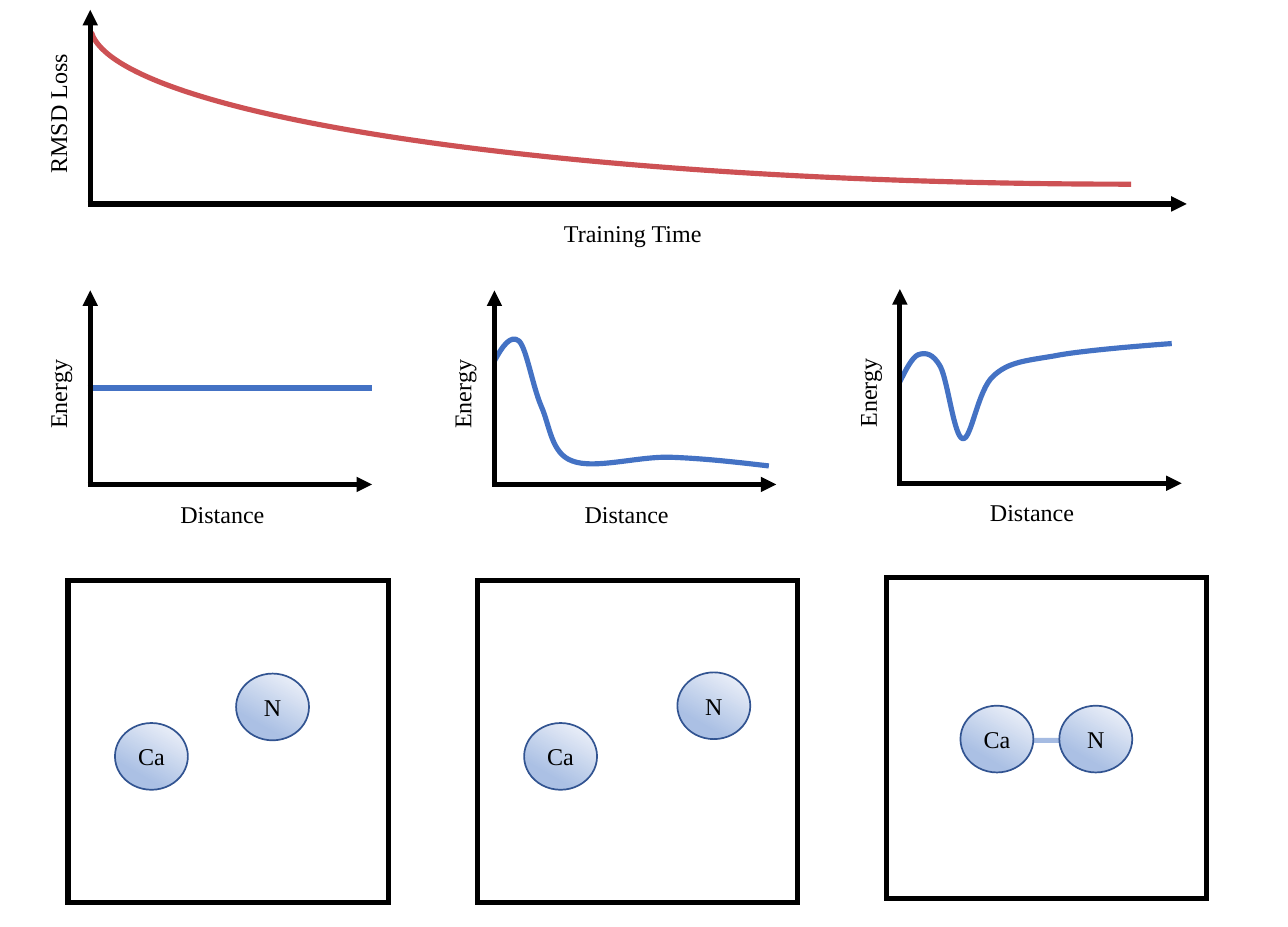
from lxml import etree
from pptx import Presentation
from pptx.dml.color import RGBColor
from pptx.enum.shapes import MSO_CONNECTOR, MSO_SHAPE
from pptx.enum.text import MSO_ANCHOR, PP_ALIGN
from pptx.oxml.ns import qn
from pptx.util import Inches, Pt

LINE = MSO_CONNECTOR.STRAIGHT
RECT, OVAL, ARC = MSO_SHAPE.RECTANGLE, MSO_SHAPE.OVAL, MSO_SHAPE.ARC
CENTER, MIDDLE = PP_ALIGN.CENTER, MSO_ANCHOR.MIDDLE

BLACK, RED, BLUE, ATOM_EDGE = "000000", "CD5154", "4472C4", "325491"
ATOM_STOPS = [(0, "F6F8FC"), (74, "ABC0E4"), (83, "ABC0E4"), (100, "C7D5ED")]
FONT, FONT_SIZE = "Times New Roman", 14
STROKE = 3
LABEL_W, LABEL_H = 1.46, 0.34
ATOM_W, ATOM_H = 0.59, 0.54
PLOT_W, PLOT_H = 2.28, 1.57
FRAME_W, FRAME_H = 2.59, 2.6

# Bezier points as (distance, energy) in inches from the plot's origin
BARRIER = [(0, 1.0), (0.06, 1.11), (0.13, 1.22), (0.2, 1.16),
           (0.26, 1.1), (0.31, 0.79), (0.38, 0.63),
           (0.45, 0.47), (0.46, 0.25), (0.63, 0.19),
           (0.81, 0.12), (1.17, 0.23), (1.43, 0.22),
           (1.7, 0.21), (1.96, 0.18), (2.22, 0.15)]
WELL = [(0, 0.82), (0.05, 0.92), (0.1, 1.02), (0.15, 1.04),
        (0.21, 1.06), (0.27, 1.05), (0.33, 0.94),
        (0.39, 0.82), (0.44, 0.37), (0.51, 0.36),
        (0.58, 0.35), (0.63, 0.76), (0.76, 0.87),
        (0.88, 0.98), (1.01, 0.99), (1.25, 1.03),
        (1.49, 1.08), (2.2, 1.13), (2.2, 1.13)]


def rgb(color):
    return RGBColor.from_string(color)


def set_line(sp, color, width=STROKE):
    sp.line.color.rgb = rgb(color)
    sp.line.width = Pt(width)


def add_shape(s, kind, x, y, w, h, color, width=STROKE):
    sp = s.shapes.add_shape(kind, Inches(x), Inches(y), Inches(w), Inches(h))
    sp.shadow.inherit = False
    sp.fill.background()
    set_line(sp, color, width)
    return sp


def add_line(s, x1, y1, x2, y2, color, arrow=False, alpha=None):
    sp = s.shapes.add_connector(LINE, *map(Inches, (x1, y1, x2, y2)))
    set_line(sp, color)
    ln = sp.line._get_or_add_ln()
    if arrow:
        etree.SubElement(ln, qn("a:tailEnd"), type="triangle")
    if alpha:
        clr = ln.find(".//" + qn("a:srgbClr"))
        etree.SubElement(clr, qn("a:alpha"), val=str(alpha * 1000))
    etree.SubElement(sp._element.spPr, qn("a:effectLst"))


def write(tf, text):
    p = tf.paragraphs[0]
    p.text = text
    p.alignment = CENTER
    p.font.name, p.font.size = FONT, Pt(FONT_SIZE)
    p.font.color.rgb = rgb(BLACK)


def add_label(s, cx, cy, text, rotation=0):
    sp = s.shapes.add_textbox(Inches(cx - LABEL_W / 2), Inches(cy - LABEL_H / 2),
                              Inches(LABEL_W), Inches(LABEL_H))
    sp.rotation = rotation
    sp.text_frame.word_wrap = True
    write(sp.text_frame, text)


def add_curve(s, x, base, points):
    points = [(Inches(x + dx), Inches(base - dy)) for dx, dy in points]
    builder = s.shapes.build_freeform(*points[0])
    builder.add_line_segments(points[3::3], close=False)
    sp = builder.convert_to_shape()
    sp.shadow.inherit = False
    sp.fill.background()
    set_line(sp, BLUE)
    # Bend each straight segment with its two control points
    segments = list(sp._element.spPr.iter(qn("a:lnTo")))
    for i, segment in enumerate(segments):
        segment.tag = qn("a:cubicBezTo")
        controls = points[3 * i + 1:3 * i + 3]
        for k, (px, py) in enumerate(controls):
            pt = etree.Element(qn("a:pt"), x=str(px - sp.left), y=str(py - sp.top))
            segment.insert(k, pt)


def add_axes(s, x, base, w, x_title, y_title, title_dx):
    add_line(s, x, base + 0.01, x, base - PLOT_H, BLACK, arrow=True)
    add_line(s, x - 0.02, base, x + w, base, BLACK, arrow=True)
    add_label(s, x - 0.26, base - 0.73, y_title, rotation=270)
    add_label(s, x + title_dx, base + 0.24, x_title)


def add_loss_plot(s, x, base, w):
    # Quarter ellipse falling from the vertical axis
    rx, ry = 8.42, 1.29
    sp = add_shape(s, ARC, x, base - 0.16 - 2 * ry, 2 * rx, 2 * ry, RED)
    sp.rotation = 180
    sp.adjustments[0], sp.adjustments[1] = 162, 215.75
    add_axes(s, x, base, w, "Training Time", "RMSD Loss", 4.39)


def add_energy_plot(s, x, base, points):
    if points:
        add_curve(s, x, base, points)
    else:
        add_line(s, x - 0.02, base - 0.78, x + PLOT_W, base - 0.78, BLUE)
    add_axes(s, x, base, PLOT_W, "Distance", "Energy", 1.07)


def add_atom(s, x, y, symbol):
    sp = add_shape(s, OVAL, x, y, ATOM_W, ATOM_H, ATOM_EDGE, 1)
    sp.fill.gradient()
    grad = sp._element.spPr.find(qn("a:gradFill"))
    stops = grad.find(qn("a:gsLst"))
    for stop in list(stops):
        stops.remove(stop)
    for pos, color in ATOM_STOPS:
        stop = etree.SubElement(stops, qn("a:gs"), pos=str(pos * 1000))
        etree.SubElement(stop, qn("a:srgbClr"), val=color)
    grad.find(qn("a:lin")).set("ang", str(120 * 60000))
    tf = sp.text_frame
    tf.margin_left = tf.margin_right = 0
    tf.vertical_anchor = MIDDLE
    write(tf, symbol)


def add_atom_frame(s, x, y, ca, n, bonded):
    if bonded:
        bond_y = y + ca[1] + ATOM_H / 2 + 0.01
        add_line(s, x + ca[0] + 0.11, bond_y, x + n[0] + 0.42, bond_y, BLUE, alpha=48)
    for (dx, dy), symbol in ((ca, "Ca"), (n, "N")):
        add_atom(s, x + dx, y + dy, symbol)
    sp = add_shape(s, RECT, x, y, FRAME_W, FRAME_H, BLACK)
    etree.SubElement(sp.line._get_or_add_ln(), qn("a:miter"), lim="800000")


def main():
    prs = Presentation()
    prs.slide_width, prs.slide_height = Inches(10.42), Inches(7.5)
    s = prs.slides.add_slide(prs.slide_layouts[6])

    # Loss over training
    add_loss_plot(s, 0.73, 1.65, 8.87)

    # Three stages: plot left, energy curve, lift, atom positions, bond
    stages = [
        (0.73, None, 0, (0.38, 1.15), (1.36, 0.75), False),
        (4, BARRIER, 0, (0.38, 1.15), (1.62, 0.74), False),
        (7.28, WELL, 0.01, (0.6, 1.04), (1.4, 1.04), True),
    ]
    for col, (x, points, lift, ca, n, bonded) in enumerate(stages):
        add_atom_frame(s, 0.55 + 3.31 * col, 4.7 - 3 * lift, ca, n, bonded)
        add_energy_plot(s, x, 3.92 - lift, points)

    prs.save("out.pptx")


if __name__ == "__main__":
    main()
